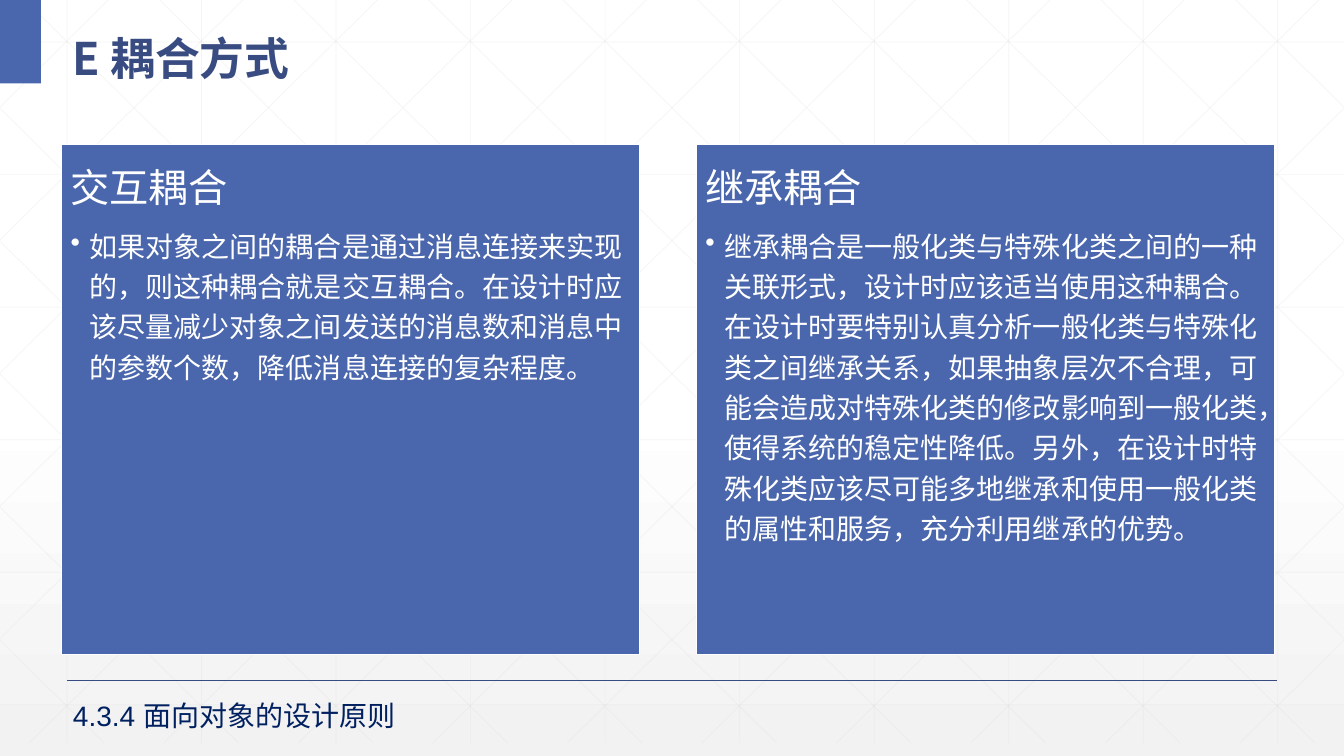
from copy import deepcopy

from lxml.etree import SubElement
from pptx import Presentation
from pptx.dml.color import RGBColor
from pptx.enum.shapes import MSO_CONNECTOR as Connector, MSO_SHAPE as Shape
from pptx.enum.text import MSO_ANCHOR as Anchor, PP_ALIGN as Align
from pptx.oxml.ns import qn
from pptx.util import Cm, Pt

WHITE = RGBColor(0xFF, 0xFF, 0xFF)
PALE_GRAY = RGBColor(0xF2, 0xF2, 0xF2)
GRID_GRAY = RGBColor(0xD9, 0xD9, 0xD9)
BLUE = RGBColor(0x4A, 0x66, 0xAC)
DARK_BLUE = RGBColor(0x38, 0x4C, 0x81)
NAVY = RGBColor(0x00, 0x20, 0x60)

WIDTH, HEIGHT = 33.87, 19.05
GRID_BOTTOM = 18.72
GRID_STEP_X, GRID_STEP_Y = 3.39, 3.34
DIAGONAL_RUN = 18.94


def draw_line(x1, y1, x2, y2, color, weight):
    line = slide.shapes.add_connector(Connector.STRAIGHT, Cm(x1), Cm(y1), Cm(x2), Cm(y2))
    line.line.color.rgb = color
    line.line.width = Pt(weight)
    SubElement(line._element.spPr, qn("a:effectLst"))
    return line


def write(paragraph, text, size, color, font_name="Arial"):
    paragraph.text = text
    paragraph.font.size = Pt(size)
    paragraph.font.name = font_name
    paragraph.font.color.rgb = color


prs = Presentation()
prs.slide_width, prs.slide_height = Cm(WIDTH), Cm(HEIGHT)
slide = prs.slides.add_slide(prs.slide_layouts[6])

# Background gradient
background = slide.background.fill
background.gradient()
background.gradient_angle = 270
stop_list = slide.element.xpath(".//a:gsLst")[0]
stop_list.append(deepcopy(stop_list[0]))
for stop, position, color in zip(
    background.gradient_stops, (0, 0.53, 1), (WHITE, WHITE, PALE_GRAY)
):
    stop.position = position
    stop.color.rgb = color

# Faint grid: verticals, horizontals, then diagonals cut at the slide edges
grid = [(x, 0, x, GRID_BOTTOM) for x in (1.69 + GRID_STEP_X * i for i in range(10))]
grid += [(0, y, WIDTH, y) for y in (1.06 + GRID_STEP_Y * i for i in range(6))]
slope = GRID_BOTTOM / DIAGONAL_RUN
for i in range(-5, 10):
    start = 0.63 + GRID_STEP_X * i
    left, right = max(start, 0), min(start + DIAGONAL_RUN, WIDTH)
    top, bottom = (left - start) * slope, (right - start) * slope
    grid.append((left, top, right, bottom))
    grid.append((WIDTH - left, top, WIDTH - right, bottom))
for ends in grid:
    grid_line = draw_line(*ends, GRID_GRAY, 0.5)
    SubElement(grid_line._element.xpath(".//a:srgbClr")[0], qn("a:alpha"), val="25000")

draw_line(1.69, 17.15, 32.18, 17.15, DARK_BLUE, 1)

corner = slide.shapes.add_shape(Shape.RECTANGLE, 0, 0, Cm(1.03), Cm(2.1))
corner.shadow.inherit = False
corner.fill.solid()
corner.fill.fore_color.rgb = BLUE
corner.line.fill.background()

title = slide.shapes.add_textbox(Cm(1.58), Cm(0.33), Cm(31.55), Cm(1.85)).text_frame
title.word_wrap = True
title.vertical_anchor = Anchor.MIDDLE
title.paragraphs[0].line_spacing = 1.3
write(title.paragraphs[0], "E 耦合方式", 32, DARK_BLUE, "Noto Sans CJK SC")
title.paragraphs[0].font.bold = True

# The two kinds of coupling
couplings = [
    (1.55, "交互耦合",
     "如果对象之间的耦合是通过消息连接来实现的，则这种耦合就是交互耦合。"
     "在设计时应该尽量减少对象之间发送的消息数和消息中的参数个数，降低消息连接的复杂程度。"),
    (17.55, "继承耦合",
     "继承耦合是一般化类与特殊化类之间的一种关联形式，设计时应该适当使用这种耦合。"
     "在设计时要特别认真分析一般化类与特殊化类之间继承关系，如果抽象层次不合理，"
     "可能会造成对特殊化类的修改影响到一般化类，使得系统的稳定性降低。"
     "另外，在设计时特殊化类应该尽可能多地继承和使用一般化类的属性和服务，充分利用继承的优势。"),
]
for left, name, description in couplings:
    panel = slide.shapes.add_shape(
        Shape.RECTANGLE, Cm(left), Cm(3.64), Cm(14.57), Cm(12.86)
    )
    panel.shadow.inherit = False
    panel.fill.solid()
    panel.fill.fore_color.rgb = BLUE
    panel.line.color.rgb = WHITE
    panel.line.width = Pt(1)

    body = panel.text_frame
    body.word_wrap = True
    body.vertical_anchor = Anchor.TOP
    body.margin_left = body.margin_right = Cm(0.23)
    body.margin_top = body.margin_bottom = Cm(0.23)

    heading, detail = body.paragraphs[0], body.add_paragraph()
    heading.alignment = detail.alignment = Align.LEFT
    heading.line_spacing = detail.line_spacing = 1.2
    heading.space_after = Pt(9)
    write(heading, name, 28, WHITE)

    detail.level = 1
    bullet_props = detail._p.get_or_add_pPr()
    bullet_props.set("marL", str(Cm(0.48)))
    bullet_props.set("indent", str(-Cm(0.48)))
    SubElement(bullet_props, qn("a:buChar"), char="•")
    write(detail, description, 20, WHITE)

section = slide.shapes.add_textbox(Cm(1.59), Cm(17.48), Cm(15.34), Cm(1.11)).text_frame
section.word_wrap = True
write(section.paragraphs[0], "4.3.4 面向对象的设计原则", 20, NAVY)

prs.save("out.pptx")
